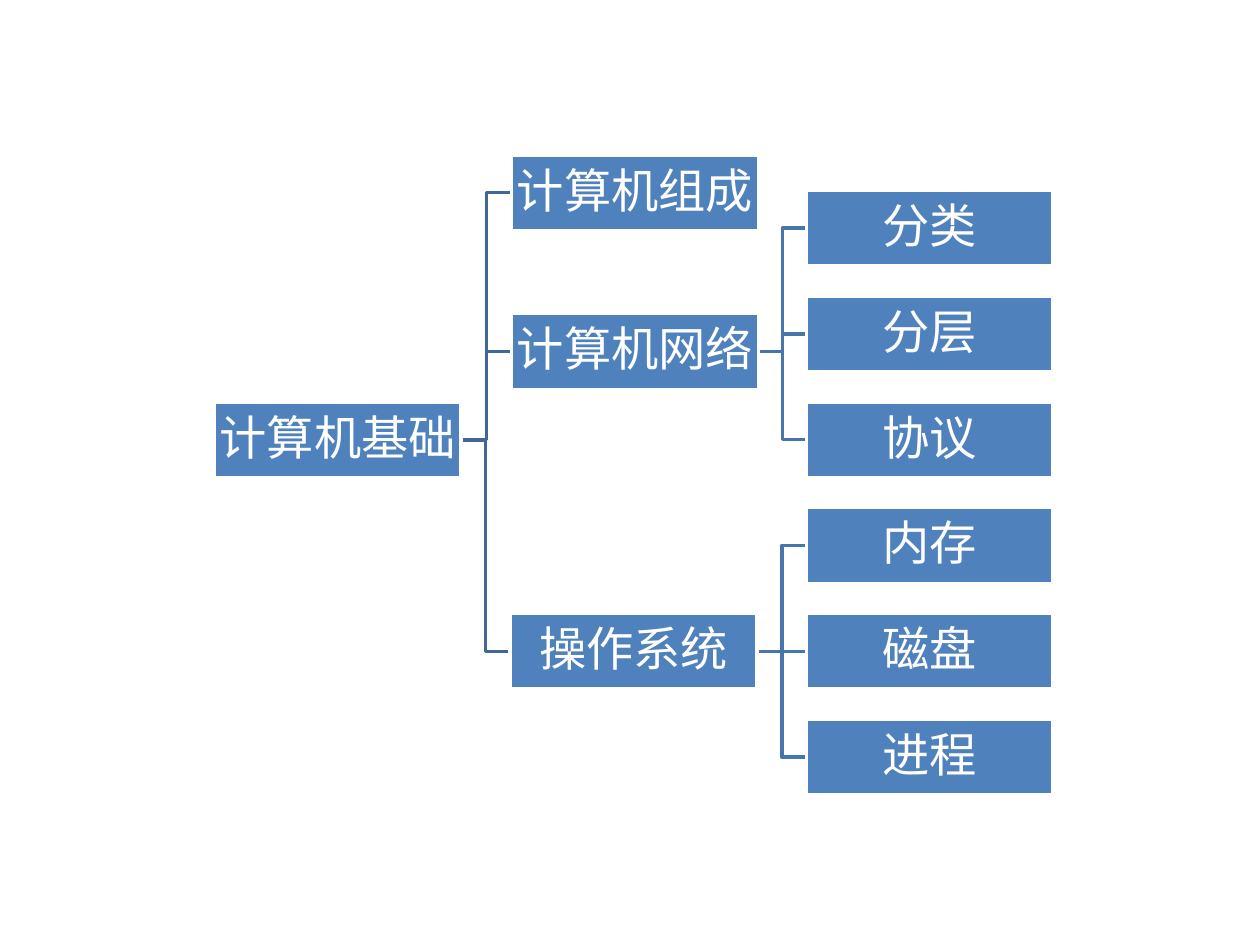
from dataclasses import dataclass

from lxml import etree
from pptx import Presentation
from pptx.dml.color import RGBColor
from pptx.enum import shapes, text
from pptx.oxml.ns import qn
from pptx.util import Inches, Pt

COLORS = {"box": "4F81BD", "white": "FFFFFF", "root_link": "3F6797", "branch_link": "4875AC"}
BOX_WIDTH, BOX_HEIGHT = 1.96, 0.6
LEAF_LEFT, LEAF_TOP, LEAF_PITCH = 6.4, 1.51, 0.84
RIGHT_SIDE, LEFT_SIDE = 3, 1


@dataclass(frozen=True)
class Topic:
    label: str
    left: float
    top: float
    children: tuple["Topic", ...] = ()
    link: str = "branch_link"


def leaves(first_row: int, *labels: str) -> tuple[Topic, ...]:
    return tuple(Topic(label, LEAF_LEFT, LEAF_TOP + row * LEAF_PITCH)
                 for row, label in enumerate(labels, first_row))


BASICS = Topic("计算机基础", 1.7, 3.19, (
    Topic("计算机组成", 4.06, 1.23),
    Topic("计算机网络", 4.06, 2.49, leaves(0, "分类", "分层", "协议")),
    Topic("操作系统", 4.05, 4.87, leaves(3, "内存", "磁盘", "进程")),
), "root_link")


def rgb(name: str) -> RGBColor:
    return RGBColor.from_string(COLORS[name])


def draw_box(slide, topic: Topic):
    box = slide.shapes.add_shape(
        shapes.MSO_SHAPE.RECTANGLE, Inches(topic.left), Inches(topic.top),
        Inches(BOX_WIDTH), Inches(BOX_HEIGHT))
    box.shadow.inherit = False
    box.fill.solid()
    box.fill.fore_color.rgb = rgb("box")
    box.line.color.rgb = rgb("white")
    box.line.width = Pt(2)

    frame = box.text_frame
    frame.word_wrap = True
    frame.vertical_anchor = text.MSO_ANCHOR.MIDDLE
    for side in ("left", "top", "right", "bottom"):
        setattr(frame, f"margin_{side}", Inches(0.02))

    line = frame.paragraphs[0]
    line.alignment = text.PP_ALIGN.CENTER
    line.line_spacing = 0.9
    space_after = etree.SubElement(line._p.get_or_add_pPr(), qn("a:spcAft"))
    etree.SubElement(space_after, qn("a:spcPct")).set("val", "35000")
    label = line.add_run()
    label.text = topic.label
    for name, value in {"name": "Calibri", "size": Pt(27)}.items():
        setattr(label.font, name, value)
    label.font.color.rgb = rgb("white")
    return box


def draw_link(slide, parent, child, color: str) -> None:
    """Join two boxes, behind them so that their white edges leave a gap."""
    level = parent.top == child.top
    kind = shapes.MSO_CONNECTOR.STRAIGHT if level else shapes.MSO_CONNECTOR.ELBOW
    link = slide.shapes.add_connector(kind, 0, 0, 0, 0)
    link.begin_connect(parent, RIGHT_SIDE)
    link.end_connect(child, LEFT_SIDE)
    link.line.color.rgb = rgb(color)
    link.line.width = Pt(2)
    etree.SubElement(link.element.spPr, qn("a:effectLst"))
    link.element.getparent().insert(2, link.element)


def draw_tree(slide, topic: Topic):
    box = draw_box(slide, topic)
    for child in topic.children:
        draw_link(slide, box, draw_tree(slide, child), topic.link)
    return box


def main() -> None:
    deck = Presentation()
    deck.slide_width, deck.slide_height = Inches(10), Inches(7.5)
    slide = deck.slides.add_slide(deck.slide_layouts[6])
    draw_tree(slide, BASICS)
    deck.save("out.pptx")


if __name__ == "__main__":
    main()
